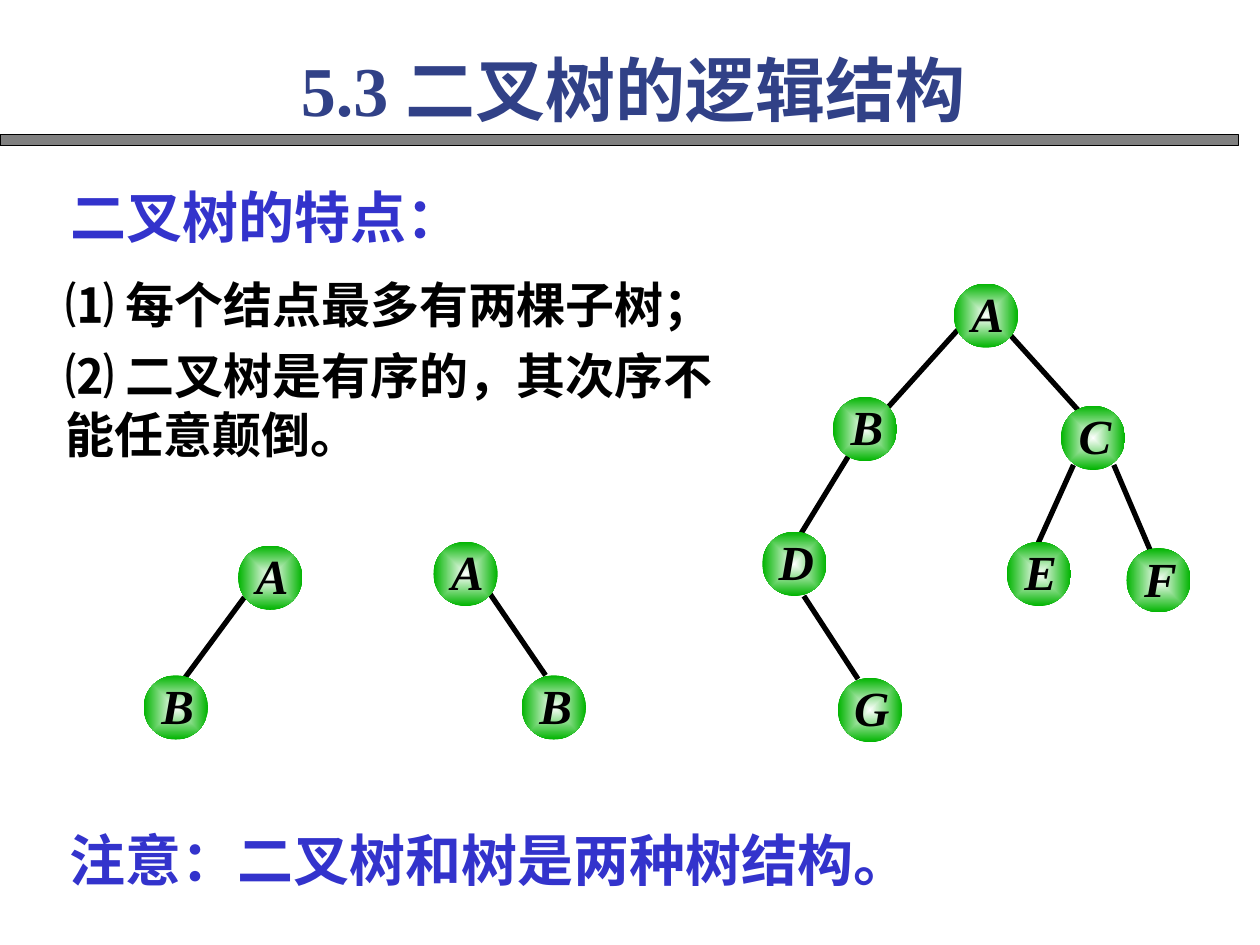
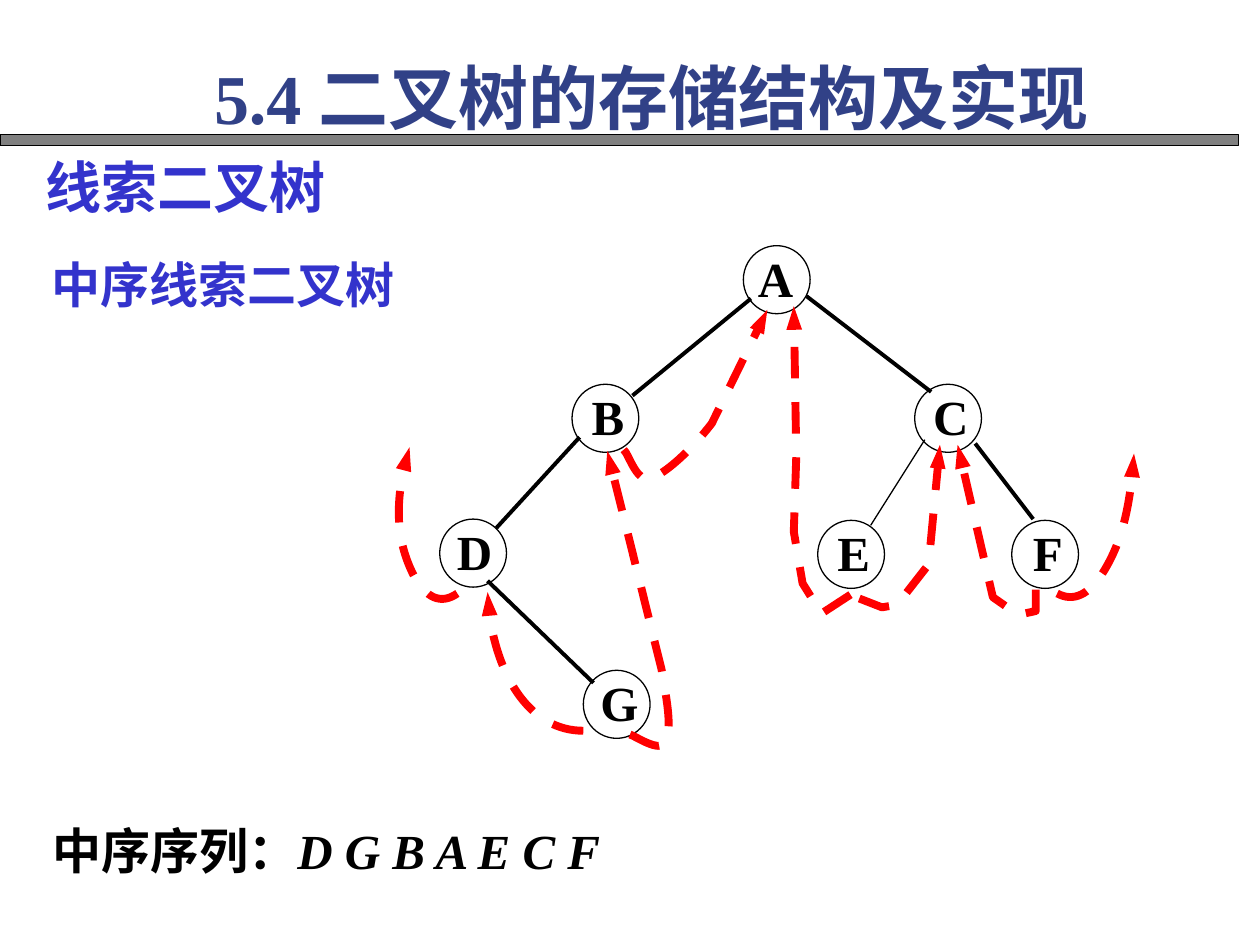
"""Build two lecture slides on the logic and the storage of binary trees."""
from lxml import etree
from pptx import Presentation
from pptx.dml.color import RGBColor
from pptx.enum.dml import MSO_LINE
from pptx.enum.shapes import MSO_CONNECTOR, MSO_SHAPE
from pptx.enum.text import MSO_AUTO_SIZE, PP_ALIGN
from pptx.oxml.ns import qn
from pptx.util import Inches, Pt

STRAIGHT = MSO_CONNECTOR.STRAIGHT
RECTANGLE, OVAL = MSO_SHAPE.RECTANGLE, MSO_SHAPE.OVAL
DASH = MSO_LINE.DASH
LEFT, CENTER, JUSTIFY = PP_ALIGN.LEFT, PP_ALIGN.CENTER, PP_ALIGN.JUSTIFY
FIT_TEXT, NO_FIT = MSO_AUTO_SIZE.SHAPE_TO_FIT_TEXT, MSO_AUTO_SIZE.NONE

WIDTH, HEIGHT = Inches(10), Inches(7.5)
COLUMN, ROW = WIDTH / 100, HEIGHT / 75

BLACK = RGBColor(0x00, 0x00, 0x00)
WHITE = RGBColor(0xFF, 0xFF, 0xFF)
GRAY = RGBColor(0x80, 0x80, 0x80)
NAVY = RGBColor(0x31, 0x41, 0x87)
BLUE = RGBColor(0x33, 0x33, 0xCC)
GREEN = RGBColor(0x00, 0xB4, 0x00)
RED = RGBColor(0xFF, 0x00, 0x00)
LATIN_FONT, CHINESE_FONT = "Times New Roman", "Noto Sans CJK SC"

LOGIC_NODES = [
    ("A", 75.7, 22.5), ("B", 66.1, 31.5), ("C", 84.2, 32.2), ("D", 60.5, 42.2),
    ("E", 79.9, 43), ("F", 89.4, 43.5), ("G", 66.5, 53.8),
    ("A", 18.9, 43.3), ("B", 11.4, 53.6), ("A", 34.4, 43), ("B", 41.4, 53.6),
]
LOGIC_EDGES = [
    (76, 26.2, 70.5, 32.3), (80.1, 26.5, 85.7, 32.7), (67.4, 36.1, 63.6, 42.3),
    (63.8, 47.3, 68.1, 53.9), (85.2, 36.9, 82.4, 43.1), (88.4, 36.9, 91.3, 43.7),
    (19.4, 47.4, 14.6, 53.9), (38.8, 47, 43.3, 53.6),
]
THREADED_NODES = [
    ("A", 59, 19.5, 0.3), ("B", 45.4, 30.5), ("C", 72.6, 30.5), ("D", 34.9, 41.2, 0.5),
    ("E", 64.9, 41.3), ("F", 80.3, 41.3), ("G", 46.3, 53.2),
]
THREADED_EDGES = [
    (59.6, 23.7, 50.2, 31.4), (46, 34.7, 39.4, 41.9), (38.7, 46.1, 47.1, 54.2),
    (64, 23.5, 73.9, 31.1), (77.4, 35.2, 82, 41.2),
]
THIN_EDGE = (73.4, 34.9, 69.1, 41.7)
THREADS = [
    ((50, 58.3), [[(50.4, 58.4), (52.4, 59.8), (52.8, 58.9)],
                  [(53.2, 57.8), (53.2, 57), (52.5, 53.1)], [(48.2, 35.8)]]),
    ((46.3, 58), [[(42.2, 58), (38.9, 53), (38.7, 47)]]),
    ((67.5, 47.2), [[(65.2, 48.7)], [(63.7, 46.3)], [(63, 42.2)],
                    [(63.2, 36.2)], [(63, 24.3)]]),
    ((36.3, 47.1), [[(35, 48), (33.8, 47.5), (32.8, 45.6)],
                    [(31.6, 43.2), (31.2, 39.6), (32.5, 35.5)]]),
    ((83.9, 47.1), [[(85.2, 47.8), (86.4, 47.2), (87.5, 45.5)],
                    [(88.9, 43.3), (89.8, 39.8), (90, 36)]]),
    ((49.5, 35.7), [[(49.9, 36), (50.5, 38.3), (51.6, 38)],
                    [(52.8, 37.6), (54.8, 35.8), (56.5, 33.6)], [(60.9, 24.6)]]),
    ((68.2, 47.5), [[(70, 48.2)], [(71.2, 48)], [(73.7, 44.8)], [(74.6, 35.3)]]),
    ((82.2, 46.8), [[(82.2, 48.5)], [(80.8, 48.8)], [(78.8, 47.4)], [(76, 35.3)]]),
]


def grid(*values):
    """Turn alternating columns and rows into slide lengths."""
    return [round(value * (ROW if index % 2 else COLUMN)) for index, value in enumerate(values)]


class TreeDeck:
    """Hold the lecture style and the slide being drawn."""

    def __init__(self):
        """Open an empty presentation of the right size."""
        self.presentation = Presentation()
        self.presentation.slide_width, self.presentation.slide_height = WIDTH, HEIGHT
        self.shapes = None

    def new_slide(self, title, *box):
        """Start a slide with its band and its title."""
        slide = self.presentation.slides.add_slide(self.presentation.slide_layouts[6])
        self.shapes = slide.shapes
        band = self.shape(RECTANGLE, 0, 10.7, 98.3, 0.85)
        band.fill.solid()
        band.fill.fore_color.rgb = GRAY
        self.outline(band)
        self.text(box, [[title]], 40, NAVY, align=JUSTIFY)

    def shape(self, kind, *box):
        """Add a preset shape without shadow."""
        shape = self.shapes.add_shape(kind, *grid(*box))
        shape.shadow.inherit = False
        return shape

    def outline(self, shape, color=BLACK, width=0.75):
        """Set the line of a shape or connector."""
        shape.line.color.rgb = color
        shape.line.width = Pt(width)

    def text(self, box, paragraphs, size, color, align=LEFT, italic=None,
             side=0.1, top=0.05, bottom=0.05, fit=FIT_TEXT):
        """Add a bold text box from lists of runs."""
        frame = self.shapes.add_textbox(*grid(*box)).text_frame
        frame.word_wrap, frame.auto_size = True, fit
        frame.margin_left = frame.margin_right = Inches(side)
        frame.margin_top, frame.margin_bottom = Inches(top), Inches(bottom)
        for index, runs in enumerate(paragraphs):
            paragraph = frame.add_paragraph() if index else frame.paragraphs[0]
            if index:
                paragraph.space_before = Pt(7)
            paragraph.alignment = align
            for words in runs:
                paragraph.add_run().text = words
            font = paragraph.font
            font.name, font.size, font.bold, font.italic = LATIN_FONT, Pt(size), True, italic
            font.color.rgb = color
            defaults = paragraph._p.pPr.find(qn("a:defRPr"))
            etree.SubElement(defaults, qn("a:ea"), typeface=CHINESE_FONT)
        return frame

    def edge(self, *ends, width=3):
        """Draw a straight tree edge."""
        connector = self.shapes.add_connector(STRAIGHT, *grid(*ends))
        self.outline(connector, width=width)
        etree.SubElement(connector._element.spPr, qn("a:effectLst"))

    def green_node(self, letter, left, top):
        """Draw a glowing green node with an italic letter."""
        node = self.shape(OVAL, left, top, 5.1, 5.1)
        node.line.fill.background()
        node.fill.gradient()
        for stop, color, position in zip(node.fill.gradient_stops, (WHITE, GREEN), (0, 1)):
            stop.color.rgb, stop.position = color, position
        gradient = node._element.spPr.find(qn("a:gradFill"))
        gradient.remove(gradient.find(qn("a:lin")))
        path = etree.SubElement(gradient, qn("a:path"), path="rect")
        etree.SubElement(path, qn("a:fillToRect"), l="50000", t="50000", r="50000", b="50000")
        self.text((left + 0.55, top - 0.4, 4.3, 6.7), [[letter]], 28, BLACK, CENTER,
                  italic=True, side=0, top=0.04, bottom=0, fit=NO_FIT)

    def plain_node(self, letter, left, top, inset=0.6):
        """Draw an outlined node with an upright letter."""
        self.text((left + inset, top - 0.6, 4.5, 6.4), [[letter]], 28, BLACK, CENTER,
                  side=0, top=0.08, bottom=0, fit=NO_FIT)
        node = self.shape(OVAL, left, top, 5.3, 5.4)
        node.fill.background()
        self.outline(node)

    def thread(self, start, segments):
        """Draw a dashed arrow of lines (one point) and curves (three points)."""
        builder = self.shapes.build_freeform(*grid(*start))
        builder.add_line_segments([grid(*point) for part in segments for point in part], close=False)
        arrow = builder.convert_to_shape()
        arrow.shadow.inherit = False
        arrow.fill.background()
        self.outline(arrow, RED, 4.5)
        arrow.line.dash_style = DASH
        line = arrow._element.spPr.find(qn("a:ln"))
        etree.SubElement(line, qn("a:tailEnd"), type="triangle", w="sm", len="med")
        path = next(arrow._element.iter(qn("a:path")))
        lines = iter(path.findall(qn("a:lnTo")))
        for part in segments:
            steps = [next(lines) for _ in part]
            if len(steps) == 1:
                path.append(steps[0])
                continue
            curve = etree.SubElement(path, qn("a:cubicBezTo"))
            for step in steps:
                curve.append(step[0])
                path.remove(step)


def logic_slide(deck):
    """Draw the features of binary trees."""
    deck.new_slide("5.3 二叉树的逻辑结构", 22.9, 3.2, 63.8, 7.7)
    deck.text((4.6, 14, 39.2, 6.4), [["二叉树的特点："]], 32, BLUE)
    deck.text((5.2, 21.3, 52.7, 16),
              [["⑴ 每个结点最多有两棵子树；"], ["⑵ 二叉树是有序的，其次序不能任意颠倒。"]],
              28, BLACK, side=0)
    deck.text((4.5, 65, 77.4, 6.4), [["注意：二叉树和树是两种树结构。"]], 32, BLUE, JUSTIFY)
    for ends in LOGIC_EDGES:
        deck.edge(*ends)
    for node in LOGIC_NODES:
        deck.green_node(*node)


def threaded_slide(deck):
    """Draw the inorder threaded tree."""
    deck.new_slide("5.4 二叉树的存储结构及实现", 16, 3.8, 77.1, 7.7)
    for node in THREADED_NODES:
        deck.plain_node(*node)
    for ends in THREADED_EDGES:
        deck.edge(*ends, width=2.25)
    deck.edge(*THIN_EDGE, width=0.75)
    for start, segments in THREADS:
        deck.thread(start, segments)
    deck.text((2.6, 11.6, 36.7, 6.4), [["线索二叉树"]], 32, BLUE)
    deck.text((3.1, 19.7, 44.2, 5.7), [["中序线索二叉树"]], 28, BLUE)
    frame = deck.text((3.2, 64.6, 52, 5.7), [["中序序列：", "D G B A E C F"]], 28, BLACK)
    frame.paragraphs[0].runs[1].font.italic = True


def main():
    """Build and save both slides."""
    deck = TreeDeck()
    logic_slide(deck)
    threaded_slide(deck)
    deck.presentation.save("out.pptx")


if __name__ == "__main__":
    main()
